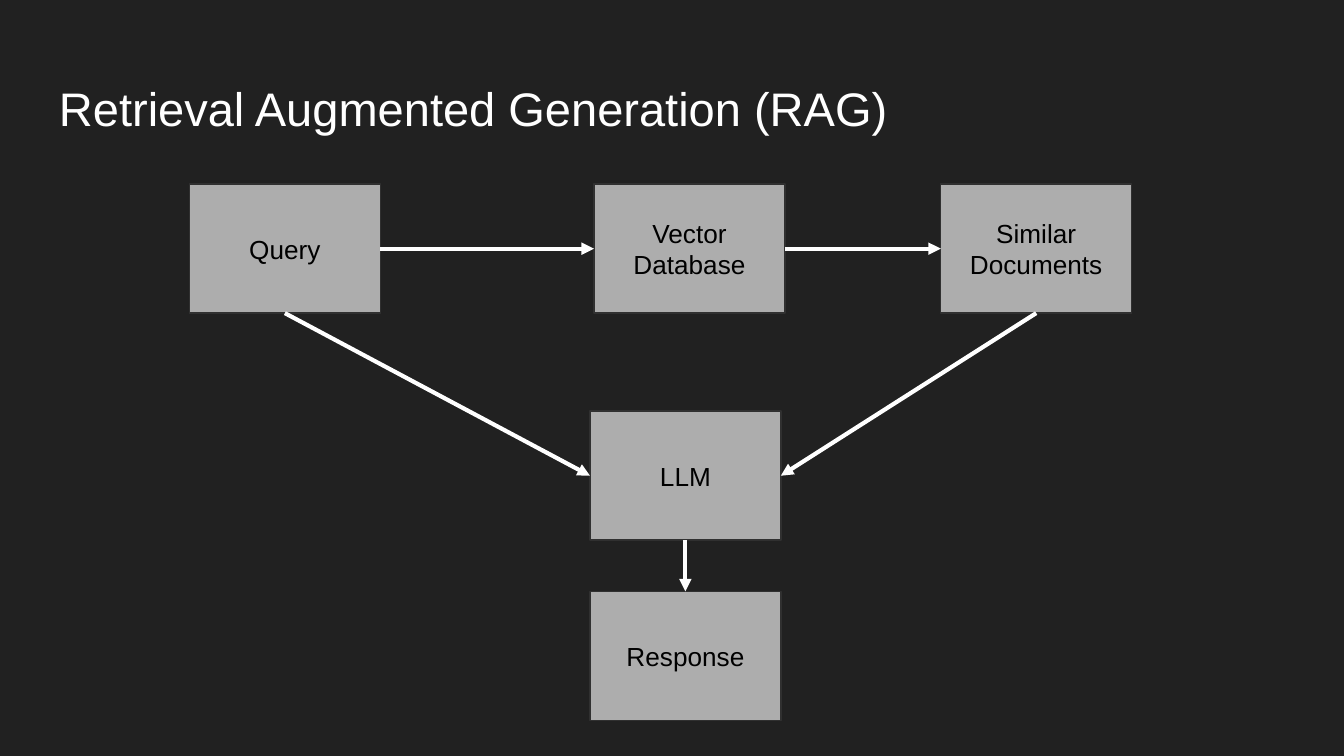
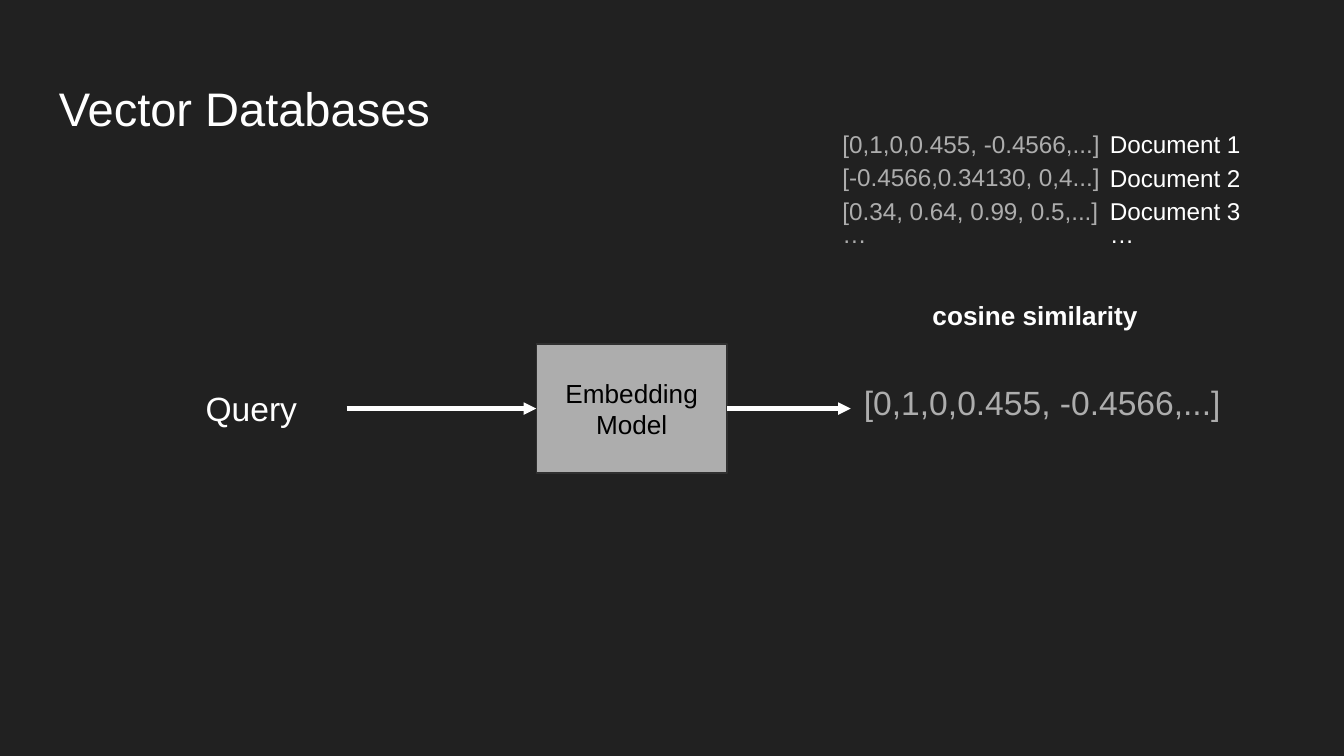
from lxml import etree
from pptx import Presentation
from pptx.dml.color import RGBColor
from pptx.enum.shapes import MSO_CONNECTOR as Link, MSO_SHAPE as Shape
from pptx.enum.text import MSO_ANCHOR as Anchor, PP_ALIGN as Align
from pptx.oxml.ns import qn
from pptx.util import Inches, Pt

BACK = RGBColor(0x21, 0x21, 0x21)
GREY = RGBColor(0xAD, 0xAD, 0xAD)
EDGE = RGBColor(0x30, 0x30, 0x30)
WHITE = RGBColor(0xFF, 0xFF, 0xFF)
BLACK = RGBColor(0, 0, 0)
FONT = "Arial"

WIDTH = 10
HEIGHT = WIDTH * 9 / 16
BOX_W, BOX_H = 1.42, 0.96
TOP, LEFT, BOTTOM, RIGHT = range(4)

# Boxes: label -> (left, top). Arrows: (from, side, to, side).
RAG_TITLE = "Retrieval Augmented Generation (RAG)"
RAG_BOXES = {
    "Response": (4.39, 4.4),
    "LLM": (4.39, 3.06),
    "Query": (1.41, 1.37),
    "Similar Documents": (7, 1.37),
    "Vector Database": (4.42, 1.37),
}
RAG_ARROWS = [
    ("LLM", BOTTOM, "Response", TOP),
    ("Query", BOTTOM, "LLM", LEFT),
    ("Similar Documents", BOTTOM, "LLM", RIGHT),
    ("Query", RIGHT, "Vector Database", LEFT),
    ("Vector Database", RIGHT, "Similar Documents", LEFT),
]

VECTOR_TITLE = "Vector Databases"
QUERY_VECTOR = "[0,1,0,0.455, -0.4566,...]"
# Stored rows: vector, document, top of the vector text
STORE = [
    (QUERY_VECTOR, "Document 1", 0.86),
    ("[-0.4566,0.34130, 0,4...]", "Document 2", 1.11),
    ("[0.34, 0.64, 0.99, 0.5,...]", "Document 3", 1.36),
    ("…", "…", 1.53),
]
DOC_RISE = 0.27


def write(shape, text, size, color, align=Align.LEFT, anchor=Anchor.TOP, bold=False):
    frame = shape.text_frame
    frame.word_wrap = True
    frame.vertical_anchor = anchor
    frame.margin_left = frame.margin_right = Inches(0.1)
    frame.margin_top = frame.margin_bottom = Inches(0.1)
    para = frame.paragraphs[0]
    para.text = text
    para.alignment = align
    font = para.font
    font.name, font.size, font.bold = FONT, Pt(size), bold
    font.color.rgb = color
    return shape


def label(slide, text, place, size, color=WHITE, **style):
    box = slide.shapes.add_textbox(*map(Inches, place))
    return write(box, text, size, color, **style)


def block(slide, text, left, top):
    box = slide.shapes.add_shape(Shape.RECTANGLE, *map(Inches, (left, top, BOX_W, BOX_H)))
    box.shadow.inherit = False
    box.fill.solid()
    box.fill.fore_color.rgb = GREY
    box.line.color.rgb = EDGE
    box.line.width = Pt(0.75)
    return write(box, text, 14, BLACK, Align.CENTER, Anchor.MIDDLE)


def arrow(slide, start, out, end, into):
    link = slide.shapes.add_connector(Link.STRAIGHT, 0, 0, 0, 0)
    link.begin_connect(start, out)
    link.end_connect(end, into)
    link.line.color.rgb = WHITE
    link.line.width = Pt(2.25)
    props = link._element.spPr
    etree.SubElement(props.find(qn("a:ln")), qn("a:tailEnd"), type="triangle")
    etree.SubElement(props, qn("a:effectLst"))


def new_slide(deck, title):
    slide = deck.slides.add_slide(deck.slide_layouts[6])
    slide.background.fill.solid()
    slide.background.fill.fore_color.rgb = BACK
    label(slide, title, (0.34, 0.49, 9.32, 0.63), 25.2)
    return slide


def rag_slide(deck):
    slide = new_slide(deck, RAG_TITLE)
    boxes = {text: block(slide, text, *spot) for text, spot in RAG_BOXES.items()}
    for start, out, end, into in RAG_ARROWS:
        arrow(slide, boxes[start], out, boxes[end], into)


def vector_slide(deck):
    slide = new_slide(deck, VECTOR_TITLE)
    query = label(slide, "Query", (1.16, 2.56, BOX_W, BOX_H), 18,
                  align=Align.CENTER, anchor=Anchor.MIDDLE)
    model = block(slide, "Embedding Model", 3.99, 2.56)
    result = label(slide, QUERY_VECTOR, (6.33, 2.74, 3.16, 0.6), 18, GREY)
    arrow(slide, query, RIGHT, model, LEFT)
    arrow(slide, model, RIGHT, result, LEFT)
    for vector, name, top in STORE:
        label(slide, vector, (6.17, top, 3.16, 0.6), 13, GREY)
        label(slide, name, (8.16, top - DOC_RISE, 4.28, BOX_H), 13, anchor=Anchor.MIDDLE)
    label(slide, "cosine similarity", (6.84, 2.13, 2, 0.44), 14, bold=True)


def main():
    deck = Presentation()
    deck.slide_width, deck.slide_height = Inches(WIDTH), Inches(HEIGHT)
    rag_slide(deck)
    vector_slide(deck)
    deck.save("out.pptx")


if __name__ == "__main__":
    main()
